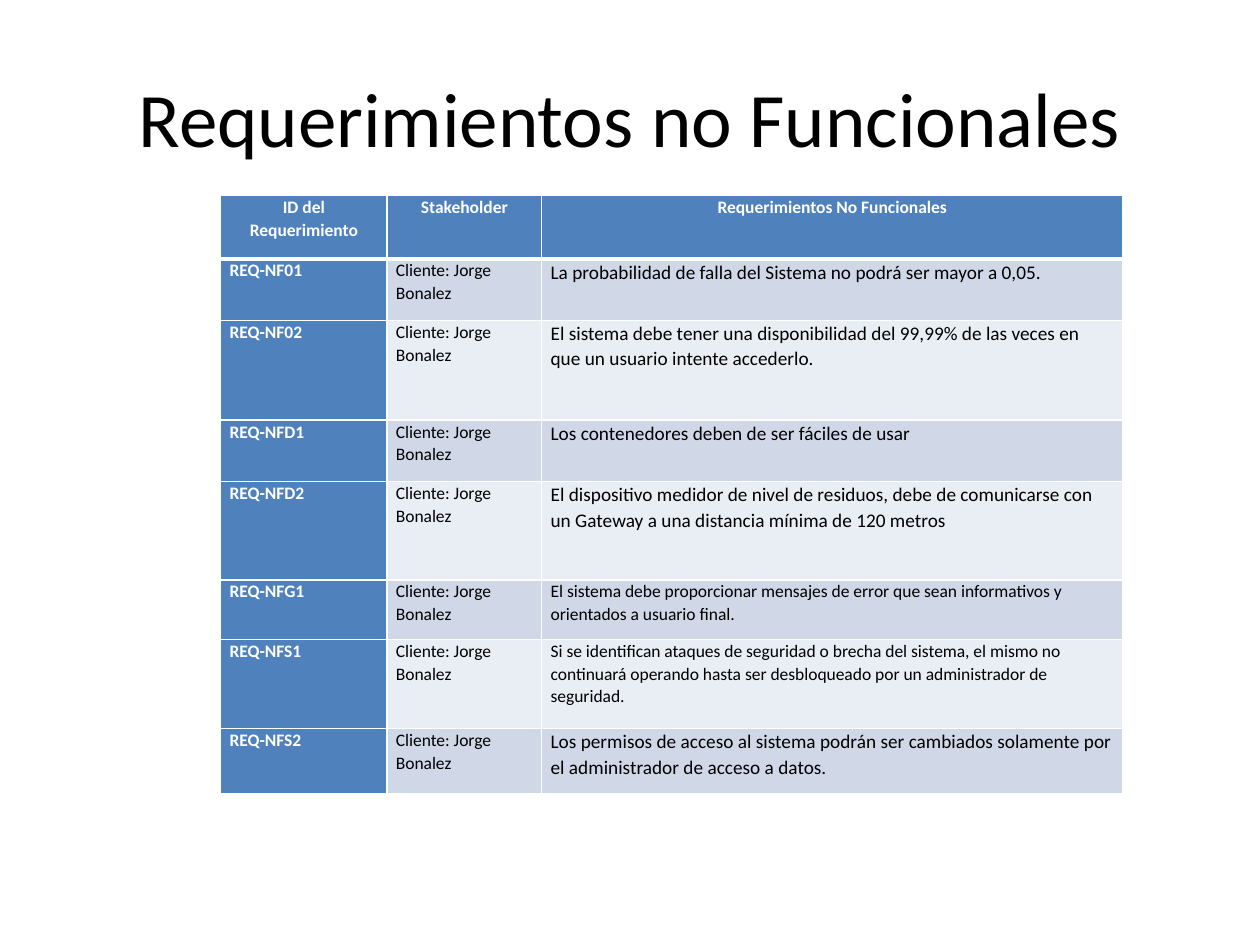
"""Build a slide with a table of non-functional requirements."""
import dataclasses

import lxml.etree
import pptx
import pptx.dml.color
import pptx.enum.text
import pptx.oxml.ns
import pptx.util

Cm = pptx.util.Cm
Pt = pptx.util.Pt
Align = pptx.enum.text.PP_ALIGN
Anchor = pptx.enum.text.MSO_ANCHOR


@dataclasses.dataclass(frozen=True)
class Theme:
    """Keep the colours, type sizes and line widths."""

    font: str = "Calibri"
    black: str = "000000"
    white: str = "FFFFFF"
    blue: str = "4F81BD"
    bands: tuple = ("D0D8E8", "E9EDF4")
    title: int = 44
    large: int = 11
    small: int = 10
    thin: int = 1
    thick: int = 3


HEADS = ("ID del Requerimiento", "Stakeholder", "Requerimientos No Funcionales")
CLIENT = "Cliente: Jorge Bonalez"
THEME = Theme()
NEEDS = (
    ("REQ-NF01", "La probabilidad de falla del Sistema no podrá ser mayor a 0,05.", THEME.large),
    ("REQ-NF02", "El sistema debe tener una disponibilidad del 99,99% de las veces en "
     "que un usuario intente accederlo.", THEME.large),
    ("REQ-NFD1", "Los contenedores deben de ser fáciles de usar", THEME.large),
    ("REQ-NFD2", "El dispositivo medidor de nivel de residuos, debe de comunicarse con "
     "un Gateway a una distancia mínima de 120 metros", THEME.large),
    ("REQ-NFG1", "El sistema debe proporcionar mensajes de error que sean informativos y "
     "orientados a usuario final.", THEME.small),
    ("REQ-NFS1", "Si se identifican ataques de seguridad o brecha del sistema, el mismo no "
     "continuará operando hasta ser desbloqueado por un administrador de seguridad.",
     THEME.small),
    ("REQ-NFS2", "Los permisos de acceso al sistema podrán ser cambiados solamente por "
     "el administrador de acceso a datos.", THEME.large),
)
WIDTHS = (3.35, 3.12, 11.71)
HEIGHTS = (1.28, 1.24, 2.01, 1.24, 1.98, 1.2, 1.8, 1.32)


class Deck:
    """Hold the theme and the current slide."""

    def __init__(self, theme):
        """Open a deck with one blank slide."""
        self.theme = theme
        self.show = pptx.Presentation()
        self.show.slide_width, self.show.slide_height = Cm(25.4), Cm(19.05)
        self.slide = self.show.slides.add_slide(self.show.slide_layouts[6])

    def apply(self, item, values):
        """Set each named value on an item."""
        for name, value in values.items():
            setattr(item, name, value)

    def label(self, frame, text, size, color, bold=False, **form):
        """Fill a text frame with one styled paragraph."""
        para = frame.paragraphs[0]
        run = para.add_run()
        run.text = text
        self.apply(para, form)
        self.apply(run.font, {"name": self.theme.font, "size": Pt(size), "bold": bold})
        run.font.color.rgb = pptx.dml.color.RGBColor.from_string(color)

    def title(self, text, left, top, width, height):
        """Add the centred slide title."""
        box = self.slide.shapes.add_textbox(Cm(left), Cm(top), Cm(width), Cm(height))
        self.apply(box.text_frame, {"word_wrap": True, "vertical_anchor": Anchor.MIDDLE})
        self.label(box.text_frame, text, self.theme.title, self.theme.black,
                   alignment=Align.CENTER)

    def edge(self, cell, side, width):
        """Draw one white border of a cell."""
        qn = pptx.oxml.ns.qn
        line = lxml.etree.SubElement(cell._tc.get_or_add_tcPr(), qn(f"a:ln{side}"),
                                     w=str(Pt(width)))
        fill = lxml.etree.SubElement(line, qn("a:solidFill"))
        lxml.etree.SubElement(fill, qn("a:srgbClr"), val=self.theme.white)

    def cell(self, cell, text, size, fill, row, col):
        """Style and fill one table cell."""
        look = self.theme
        self.apply(cell, {"margin_left": Cm(0.18), "margin_right": Cm(0.18),
                          "margin_top": 0, "margin_bottom": 0})
        for side in "LRTB":
            heavy = (row, side) in ((0, "B"), (1, "T"))
            self.edge(cell, side, look.thick if heavy else look.thin)
        cell.fill.solid()
        cell.fill.fore_color.rgb = pptx.dml.color.RGBColor.from_string(fill)
        head = row == 0 or col == 0
        self.label(cell.text_frame, text, size, look.white if head else look.black, head,
                   alignment=Align.LEFT if row else Align.CENTER,
                   line_spacing=1.07, space_after=Pt(8))

    def table(self, heads, needs, left, top, widths, heights):
        """Add the table of needs below its header."""
        look = self.theme
        grid = self.slide.shapes.add_table(
            len(heights), len(widths), Cm(left), Cm(top),
            Cm(sum(widths)), Cm(sum(heights))).table
        for column, width in zip(grid.columns, widths):
            column.width = Cm(width)
        for line, height in zip(grid.rows, heights):
            line.height = Cm(height)
        for col, text in enumerate(heads):
            self.cell(grid.cell(0, col), text, look.small, look.blue, 0, col)
        for row, (code, need, size) in enumerate(needs, 1):
            band = look.bands[(row - 1) % 2]
            parts = ((code, look.small, look.blue), (CLIENT, look.small, band),
                     (need, size, band))
            for col, part in enumerate(parts):
                self.cell(grid.cell(row, col), *part, row, col)


def main():
    """Build and save the slide."""
    deck = Deck(THEME)
    deck.title("Requerimientos no Funcionales", 1.27, 0.76, 22.86, 3.18)
    deck.table(HEADS, NEEDS, 4.45, 3.94, WIDTHS, HEIGHTS)
    deck.show.save("out.pptx")


if __name__ == "__main__":
    main()
